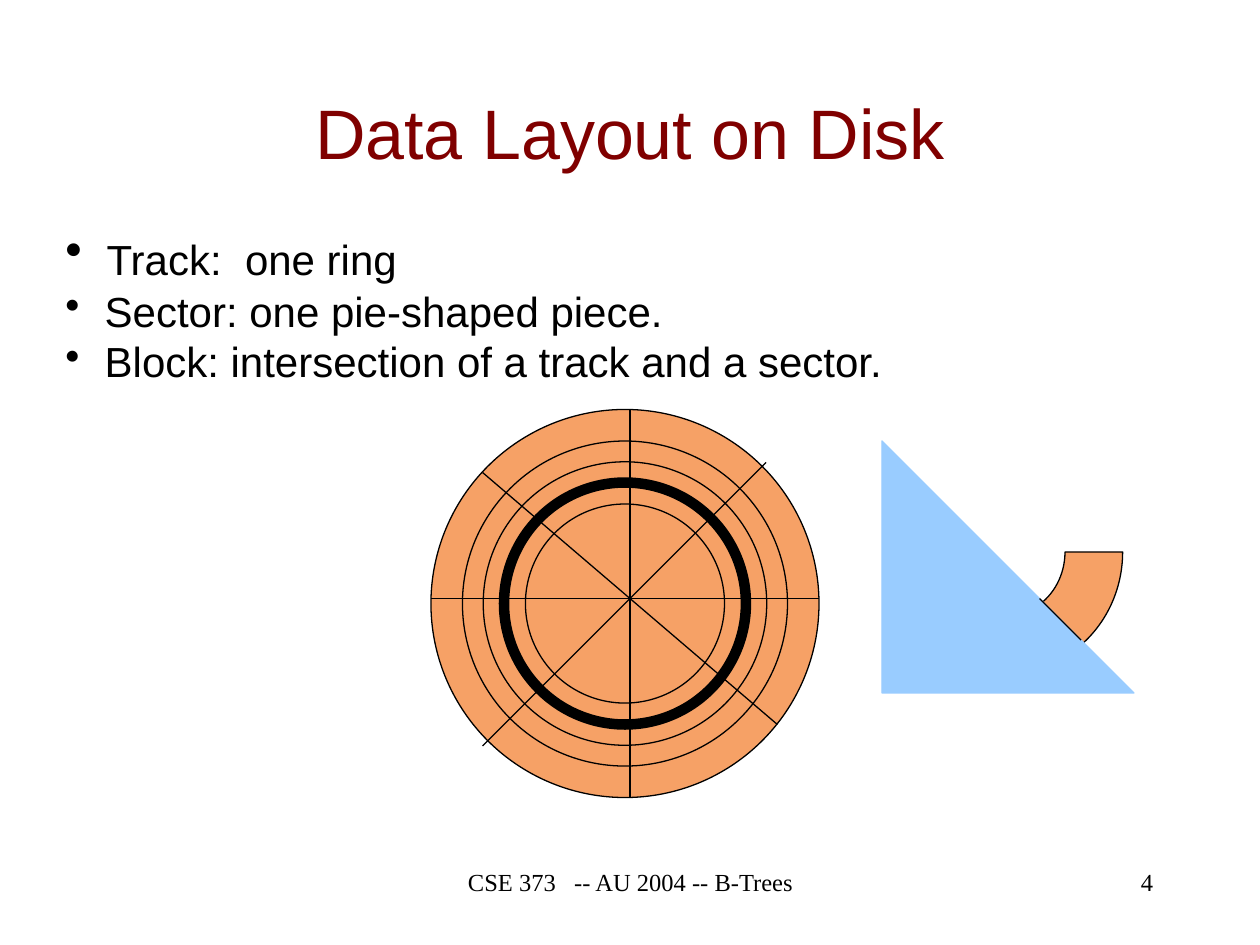
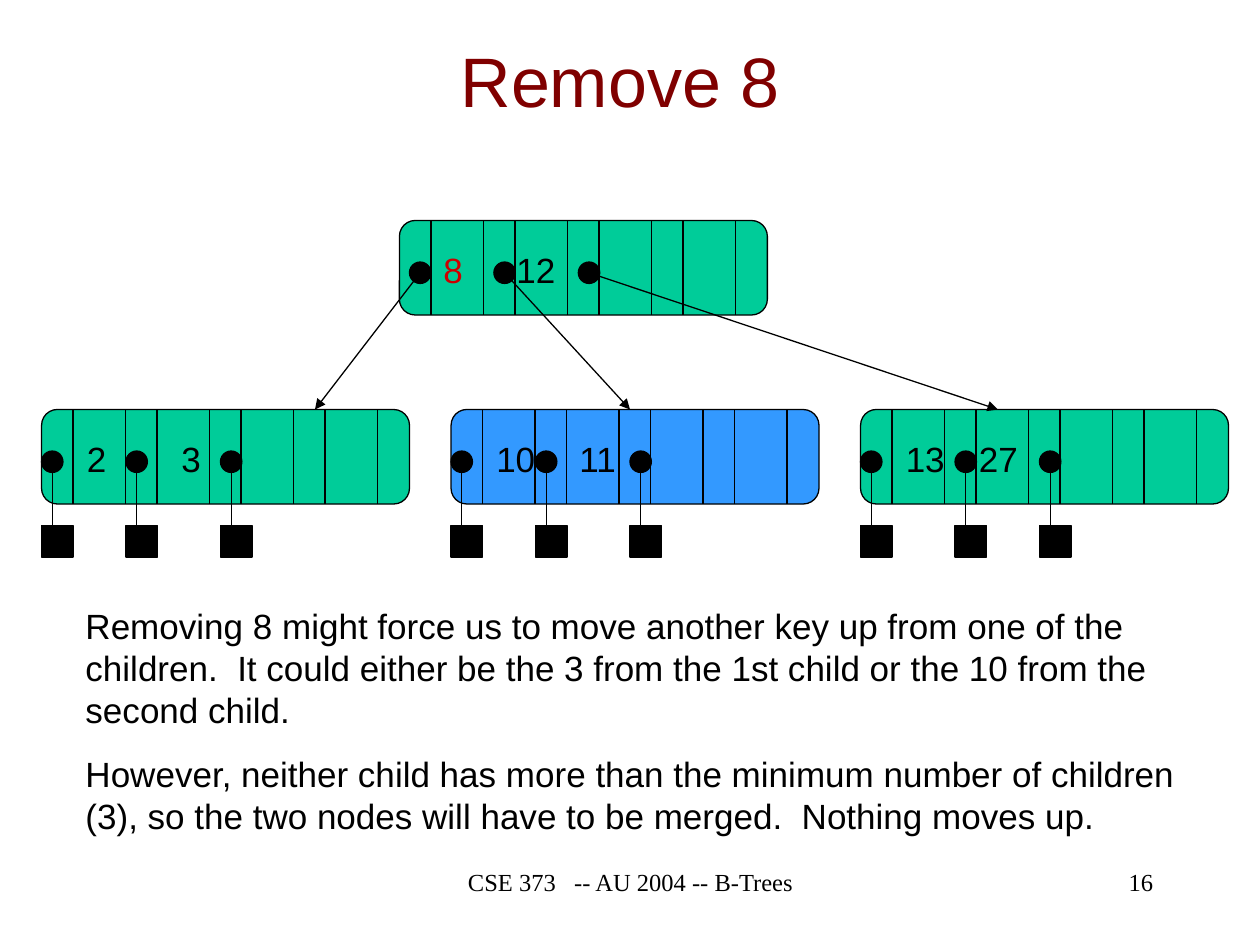
from lxml import etree
from pptx import Presentation
from pptx.dml.color import RGBColor
from pptx.enum.shapes import MSO_CONNECTOR as Connector, MSO_SHAPE as Shape
from pptx.enum.text import MSO_ANCHOR as Anchor, PP_ALIGN as Align
from pptx.oxml.ns import qn
from pptx.util import Inches, Pt

COLORS = {
    "title": "800000",
    "ink": "000000",
    "removed": "CC0000",
    "disk": "F6A166",
    "cover": "99CCFF",
    "node": "00CC99",
    "merged": "3399FF",
}
FOOTER = "CSE 373   -- AU 2004 -- B-Trees"
BODY_FONT, FOOTER_FONT = "Arial", "Times New Roman"
BULLET_INDENT = 0.22

NODE_WIDTH, NODE_HEIGHT = 2.92, 0.75
POINTER_WIDTH, SLOT_WIDTH, SLOT_COUNT = 0.25, 2 / 3, 4
DOT_SIZE, BLOCK_SIZE = 0.17, 0.25
LEAF_TOP, LEAF_LEFT, LEAF_STEP = 3.25, 0.33, 3.25
ROOT_LEFT, ROOT_TOP = 3.17, 1.75


def rgb(name):
    return RGBColor.from_string(COLORS[name])


def set_format(target, values):
    for name, value in values.items():
        setattr(target, name, value)


def add_span(para, text, size, color="ink", font=BODY_FONT):
    span = para.add_run()
    span.text = text
    set_format(span.font, {"size": Pt(size), "name": font})
    span.font.color.rgb = rgb(color)


def add_frame(page, place, **values):
    """Add an empty text box at (left, top, width, height) and return its frame."""
    frame = page.shapes.add_textbox(*map(Inches, place)).text_frame
    set_format(frame, {"word_wrap": True, **values})
    return frame


def add_text(page, place, text, size, align=Align.LEFT, color="ink",
             font=BODY_FONT, **values):
    para = add_frame(page, place, **values).paragraphs[0]
    para.alignment = align
    add_span(para, text, size, color, font)


def add_paragraphs(frame, count):
    return [frame.paragraphs[0]] + [frame.add_paragraph() for _ in range(count - 1)]


def set_bullet(para):
    properties = para._p.get_or_add_pPr()
    indent = Inches(BULLET_INDENT)
    properties.set("marL", str(indent))
    properties.set("indent", str(-indent))
    etree.SubElement(properties, qn("a:buChar")).set("char", "•")


def add_figure(page, kind, place, fill=None, line="ink", weight=0.75):
    figure = page.shapes.add_shape(kind, *map(Inches, place))
    figure.shadow.inherit = False
    if fill:
        figure.fill.solid()
        figure.fill.fore_color.rgb = rgb(fill)
    else:
        figure.fill.background()
    figure.line.color.rgb = rgb(line)
    figure.line.width = Pt(weight)
    return figure


def add_line(page, start, end, arrow=False):
    line = page.shapes.add_connector(Connector.STRAIGHT, *map(Inches, (*start, *end)))
    line.line.color.rgb = rgb("ink")
    line.line.width = Pt(0.75)
    if arrow:
        outline = line.line._get_or_add_ln()
        etree.SubElement(outline, qn("a:tailEnd")).set("type", "triangle")
    etree.SubElement(line._element.spPr, qn("a:effectLst"))


def add_page(deck, title, title_place, number):
    page = deck.slides.add_slide(deck.slide_layouts[6])
    add_text(page, title_place, title, 40, Align.CENTER, "title",
             vertical_anchor=Anchor.MIDDLE)
    add_text(page, (3.42, 6.83, 3.17, 0.5), FOOTER, 14, Align.CENTER, font=FOOTER_FONT)
    add_text(page, (7.17, 6.83, 2.08, 0.5), str(number), 14, Align.RIGHT,
             font=FOOTER_FONT)
    return page


def add_definitions(page):
    definitions = ["Track:  one ring", " Sector: one pie-shaped piece.",
                   " Block: intersection of a track and a sector."]
    frame = add_frame(page, (0.42, 1.75, 8.92, 1.77))
    for i, para in enumerate(add_paragraphs(frame, len(definitions))):
        set_bullet(para)
        if i == 0:
            add_span(para, " ", 28)
        add_span(para, definitions[i], 24)


def add_disk(page):
    center_x, center_y = 4.96, 4.79
    rings = [(3.08, "disk", 0.75), (2.58, None, 0.75), (2.25, None, 0.75),
             (1.92, None, 6), (1.58, None, 0.75)]
    for size, fill, weight in rings:
        place = (center_x - size / 2, center_y - size / 2, size, size)
        add_figure(page, Shape.OVAL, place, fill, weight=weight)
    sector_lines = [((3.42, 4.75), (6.5, 4.75)), ((5, 3.25), (5, 6.33)),
                    ((3.83, 3.75), (6.17, 5.75)), ((6.08, 3.67), (3.83, 5.92))]
    for start, end in sector_lines:
        add_line(page, start, end)


def add_block_piece(page):
    """Show one block: a half ring with all but its right end covered."""
    arc = add_figure(page, Shape.BLOCK_ARC, (7.08, 3.42, 1.83, 1.92), "disk")
    arc.rotation = 180
    add_figure(page, Shape.RIGHT_TRIANGLE, (7, 3.5, 2, 2), "cover", "cover")
    add_line(page, (8.25, 4.75), (8.58, 5.08))


def add_node(page, left, top, keys, fill="node"):
    """Draw a B-tree node; keys holds (text, offset, color) entries."""
    add_figure(page, Shape.ROUNDED_RECTANGLE, (left, top, NODE_WIDTH, NODE_HEIGHT), fill)
    for slot in range(SLOT_COUNT):
        slot_left = left + slot * SLOT_WIDTH
        for x in (slot_left + POINTER_WIDTH, slot_left + SLOT_WIDTH):
            add_line(page, (x, top), (x, top + NODE_HEIGHT))
    for text, offset, color in keys:
        width = 0.35 if len(text) == 1 else 0.51
        add_text(page, (left + offset, top + 0.17, width, 0.44), text, 20,
                 color=color, word_wrap=False)


def add_pointer(page, left, node_top, target=None):
    """Draw a dot and its arrow, down to a data block unless a target is given."""
    dot_top = node_top + 0.33
    add_figure(page, Shape.OVAL, (left, dot_top, DOT_SIZE, DOT_SIZE), "ink")
    start = (left + DOT_SIZE / 2, dot_top + DOT_SIZE / 2)
    add_line(page, start, target or (start[0], node_top + 1.08), arrow=True)
    if not target:
        add_figure(page, Shape.RECTANGLE,
                   (left, node_top + 0.92, BLOCK_SIZE, BLOCK_SIZE), "ink")


def add_tree(page):
    leaves = [
        ([("2", 0.26, "ink"), ("3", 1.01, "ink")], (0, 0.67, 1.42), "node"),
        ([("10", 0.26, "ink"), ("11", 0.92, "ink")], (0, 0.67, 1.42), "merged"),
        ([("13", 0.26, "ink"), ("27", 0.84, "ink")], (0, 0.75, 1.42), "node"),
    ]
    for i, (keys, pointers, fill) in enumerate(leaves):
        left = LEAF_LEFT + i * LEAF_STEP
        add_node(page, left, LEAF_TOP, keys, fill)
        for offset in pointers:
            add_pointer(page, left + offset, LEAF_TOP)

    add_node(page, ROOT_LEFT, ROOT_TOP, [("8", 0.25, "removed"), ("12", 0.83, "ink")])
    for offset, target_x in ((0.08, 2.5), (0.75, 5), (1.42, 7.92)):
        add_pointer(page, ROOT_LEFT + offset, ROOT_TOP, (target_x, LEAF_TOP))


def add_explanation(page):
    texts = [
        "Removing 8 might force us to move another key up from one of the children.  "
        "It could either be the 3 from the 1st child or the 10 from the second child.",
        "However, neither child has more than the minimum number of children (3), "
        "so the two nodes will have to be merged.  Nothing moves up.",
    ]
    frame = add_frame(page, (0.58, 4.75, 8.92, 1.94))
    for para, text in zip(add_paragraphs(frame, len(texts)), texts):
        para.space_before = Pt(12.5)
        add_span(para, text, 20)


def main():
    deck = Presentation()
    set_format(deck, {"slide_width": Inches(10), "slide_height": Inches(7.5)})

    page = add_page(deck, "Data Layout on Disk", (0.75, 0.42, 8.5, 1.25), 4)
    add_definitions(page)
    add_disk(page)
    add_block_piece(page)

    page = add_page(deck, "Remove 8", (0.67, 0.17, 8.5, 0.92), 16)
    add_tree(page)
    add_explanation(page)

    deck.save("out.pptx")


if __name__ == "__main__":
    main()
